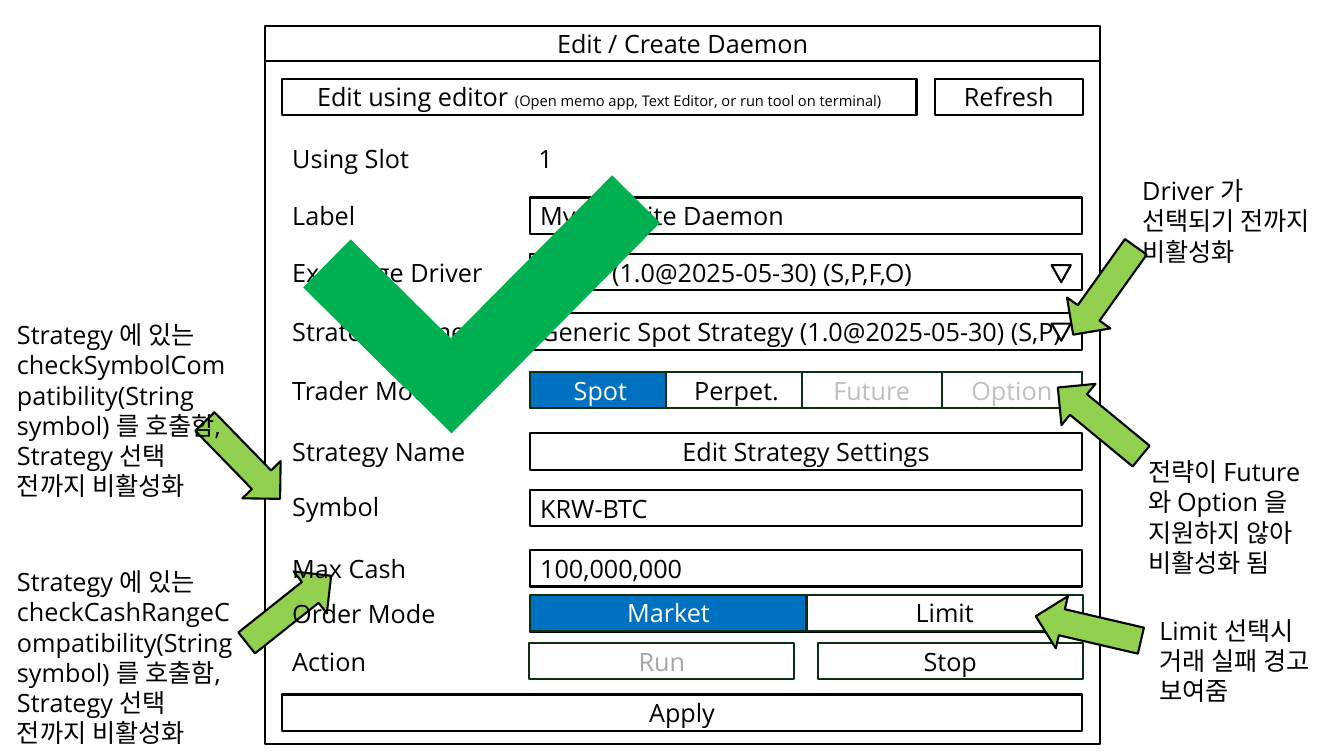
"""Build the wireframe slide of the Edit / Create Daemon dialog."""
from pptx import Presentation, util as u
from pptx.dml.color import RGBColor
from pptx.enum import shapes, text

BLACK, WHITE, GREEN, BLUE = "000000", "FFFFFF", "0B2F10", "0070C0"
LEFT, CENTER = text.PP_ALIGN.LEFT, text.PP_ALIGN.CENTER
RECT = shapes.MSO_SHAPE.RECTANGLE
FIELD_X, FIELD_W, ROW_H = 5.26, 5.47, 0.36

prs = Presentation()
prs.slide_width, prs.slide_height = u.Inches(13.33), u.Inches(7.5)
s = prs.slides.add_slide(prs.slide_layouts[6])


def write(sp, runs, color=BLACK, align=LEFT):
    tf = sp.text_frame
    tf.word_wrap = True
    p = tf.paragraphs[0]
    p.alignment = align
    p.font.name, p.font.size = "Open Sans", u.Pt(18)
    p.font.color.rgb = RGBColor.from_string(color)
    for content, size in runs:
        r = p.add_run()
        r.text = content
        if size:
            r.font.size = u.Pt(size)


def shape(kind, x, y, w, h, fill=WHITE, line=BLACK, label="", color=BLACK, align=CENTER, rot=0):
    sp = s.shapes.add_shape(kind, u.Inches(x), u.Inches(y), u.Inches(w), u.Inches(h))
    sp.shadow.inherit = False
    sp.rotation = rot
    sp.fill.solid()
    sp.fill.fore_color.rgb = RGBColor.from_string(fill)
    if line:
        sp.line.color.rgb = RGBColor.from_string(line)
        sp.line.width = u.Pt(1.5)
    else:
        sp.line.fill.background()
    if label:
        sp.text_frame.vertical_anchor = text.MSO_ANCHOR.MIDDLE
        write(sp, label if isinstance(label, list) else [(label, None)], color, align)


shape(RECT, 2.63, 0.26, 8.28, 0.35, label="Edit / Create Daemon")
shape(RECT, 2.63, 0.61, 8.28, 6.77)
shape(RECT, 2.8, 0.78, 6.29, ROW_H, label=[
    ("Edit using editor ", None),
    ("(Open memo app, Text Editor, or run tool on terminal)", 10.5)])
shape(RECT, 9.27, 0.78, 1.47, ROW_H, label="Refresh")
shape(RECT, 2.8, 6.89, 7.93, ROW_H, label="Apply")

fields = [
    (1.96, "My Favorite Daemon", LEFT),
    (2.52, "Zalbo (1.0@2025-05-30) (S,P,F,O)", LEFT),
    (3.11, "Generic Spot Strategy (1.0@2025-05-30) (S,P)", LEFT),
    (3.69, "", LEFT),
    (4.3, "Edit Strategy Settings", CENTER),
    (4.86, "KRW-BTC", LEFT),
    (5.46, "100,000,000", LEFT),
    (5.91, "", LEFT),
]
for y, value, align in fields:
    shape(RECT, FIELD_X, y, FIELD_W, ROW_H, label=value, align=align)
for y in (2.63, 3.21):
    shape(shapes.MSO_SHAPE.ISOSCELES_TRIANGLE, 10.43, y, 0.19, 0.17, rot=180)

buttons = [
    (5.26, 3.69, 1.39, "Spot", BLUE, WHITE),
    (6.61, 3.69, 1.39, "Perpet.", WHITE, BLACK),
    (7.95, 3.69, 1.39, "Future", WHITE, "BFBFBF"),
    (9.34, 3.69, 1.39, "Option", WHITE, "BFBFBF"),
    (5.26, 5.9, 2.74, "Market", BLUE, WHITE),
    (8, 5.9, 2.74, "Limit", WHITE, BLACK),
    (5.25, 6.38, 2.63, "Run", WHITE, "A6A6A6"),
    (8.11, 6.38, 2.63, "Stop", WHITE, BLACK),
]
for x, y, w, label, fill, color in buttons:
    shape(RECT, x, y, w, ROW_H, fill, GREEN, label, color)

arrows = [(10.37, 3.92, 39.5), (1.87, 4.3, 225.8), (2.33, 5.78, 141.5),
          (10.42, 2.62, 305.5), (10.26, 5.97, 13.1)]
for x, y, rot in arrows:
    shape(shapes.MSO_SHAPE.LEFT_ARROW, x, y, 1.07, 0.53, "92D050", rot=rot)

captions = [(2.8, y, 2.14, 0.4, name) for y, name in [
    (1.37, "Using Slot"), (1.94, "Label"), (2.5, "Exchange Driver"),
    (3.09, "Strategy Name"), (3.67, "Trader Mode"), (4.28, "Strategy Name"),
    (4.83, "Symbol"), (5.44, "Max Cash"), (5.89, "Order Mode"), (6.36, "Action")]]
notes = [(0.07, y, 2.41, 1.92,
          f"Strategy 에 있는 {check}(String symbol) 를 호출함, Strategy 선택 전까지 비활성화")
         for y, check in [(3.12, "checkSymbolCompatibility"), (5.57, "checkCashRangeCompatibility")]]
notes += [
    (11.23, 1.69, 2.18, 1.01, "Driver 가 선택되기 전까지 비활성화"),
    (11.29, 4.48, 1.9, 1.31, "전략이 Future 와 Option 을 지원하지 않아 비활성화 됨"),
    (11.4, 6.05, 1.9, 1.01, "Limit 선택시 거래 실패 경고 보여줌"),
]
for x, y, w, h, content in captions + [(5.24, 1.37, 5.49, 0.4, "1")] + notes:
    tb = s.shapes.add_textbox(u.Inches(x), u.Inches(y), u.Inches(w), u.Inches(h))
    write(tb, [(content, None)])

for x, y, h, rot in [(3.42, 2.4, 1.44, 314.7), (4.94, 1.55, 2.94, 44.7)]:
    shape(RECT, x, y, 0.67, h, "00B050", None, rot=rot)

prs.save("out.pptx")
